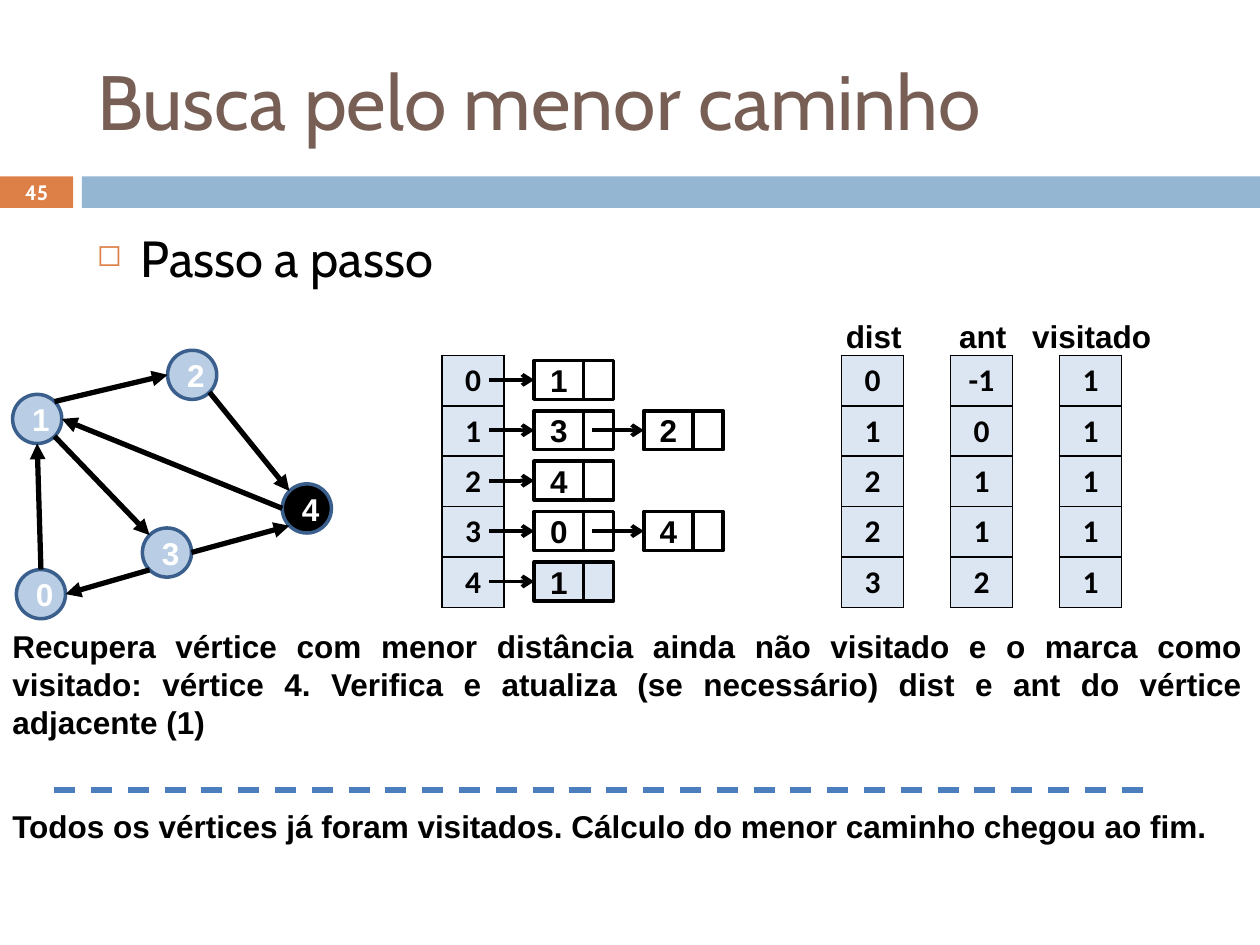
from math import cos, radians, sin

from lxml.etree import SubElement
from pptx import Presentation
from pptx.dml.color import RGBColor
from pptx.enum.dml import MSO_LINE
from pptx.enum.shapes import MSO_CONNECTOR, MSO_SHAPE
from pptx.enum.text import MSO_ANCHOR, PP_ALIGN
from pptx.oxml.ns import qn
from pptx.util import Inches, Pt

TITLE = "Busca pelo menor caminho"
PAGE = "45"
TOPIC = "Passo a passo"
NOTES = [
    (4.93, 1.01, "Recupera vértice com menor distância ainda não visitado e o marca como "
     "visitado: vértice 4. Verifica e atualiza (se necessário) dist e ant do vértice adjacente (1)"),
    (6.36, 0.4, "Todos os vértices já foram visitados. Cálculo do menor caminho chegou ao fim."),
]
NODES = {0: (0.13, 4.52), 1: (0.1, 3.13), 2: (1.33, 2.78), 3: (1.13, 4.19), 4: (2.24, 3.84)}
CURRENT = 4
RIGHT, LOWER_RIGHT, BOTTOM, LOWER_LEFT, LEFT, UPPER_LEFT, TOP, UPPER_RIGHT = range(0, 360, 45)
EDGES = [
    (0, TOP, 1, BOTTOM), (1, UPPER_RIGHT, 2, LEFT), (1, LOWER_RIGHT, 3, UPPER_LEFT),
    (2, LOWER_RIGHT, 4, UPPER_LEFT), (3, RIGHT, 4, LOWER_LEFT),
    (3, LOWER_LEFT, 0, RIGHT), (4, LEFT, 1, RIGHT),
]
ADJACENCY = [[1], [3, 2], [4], [0, 4], [1]]
COLUMNS = [("dist", [0, 1, 2, 2, 3]), ("ant", [-1, 0, 1, 1, 2]), ("visitado", [1] * 5)]
BLACK, WHITE, PALE, NODE, RIM = "000000", "FFFFFF", "DCE6F2", "B9CDE5", "3A5F8C"
ORANGE, BLUE, BROWN, DASH = "DD8047", "94B6D2", "775F55", "4B7EBC"
SIZE, ROW, TABLE_TOP = 0.39, 0.4, 2.82


def rgb(color):
    return RGBColor.from_string(color)


def write(tf, text, size=18, font="Arial", color=BLACK, bold=True,
          align=PP_ALIGN.CENTER, anchor=MSO_ANCHOR.MIDDLE, bullet=None):
    tf.word_wrap = True
    tf.vertical_anchor = anchor
    p = tf.paragraphs[0]
    p.alignment = align
    if bullet:
        pPr = p._p.get_or_add_pPr()
        pPr.set("marL", str(Inches(0.35)))
        pPr.set("indent", str(-Inches(0.35)))
        SubElement(SubElement(pPr, qn("a:buClr")), qn("a:srgbClr"), val=ORANGE)
        SubElement(pPr, qn("a:buSzPct"), val="60000")
        SubElement(pPr, qn("a:buChar"), char=bullet)
    r = p.add_run()
    r.text = text
    r.font.size, r.font.name, r.font.bold = Pt(size), font, bold
    r.font.color.rgb = rgb(color)


def add_text(s, box, text, **fmt):
    tf = s.shapes.add_textbox(*map(Inches, box)).text_frame
    write(tf, text, **fmt)


def add_box(s, kind, box, fill, line=None, text=None, **fmt):
    sp = s.shapes.add_shape(kind, *map(Inches, box))
    sp.shadow.inherit = False
    sp.fill.solid()
    sp.fill.fore_color.rgb = rgb(fill)
    if line:
        sp.line.color.rgb = rgb(line)
        sp.line.width = Pt(2)
    else:
        sp.line.fill.background()
    if text is not None:
        write(sp.text_frame, text, **fmt)
    return sp


def add_line(s, start, end, width=3, color=BLACK, head=None):
    c = s.shapes.add_connector(MSO_CONNECTOR.STRAIGHT, *map(Inches, (*start, *end)))
    c.line.color.rgb = rgb(color)
    c.line.width = Pt(width)
    if head:
        SubElement(c.line._get_or_add_ln(), qn("a:tailEnd"), type=head)
    SubElement(c._element.spPr, qn("a:effectLst"))
    return c


def add_column(s, left, values):
    frame = s.shapes.add_table(len(values), 1, Inches(left), Inches(TABLE_TOP),
                               Inches(0.49), Inches(ROW * len(values)))
    table = frame.table
    table.first_row = table.horz_banding = False
    for i, value in enumerate(values):
        cell = table.cell(i, 0)
        write(cell.text_frame, str(value), font="Calibri", anchor=None)
        tcPr = cell._tc.get_or_add_tcPr()
        for side in ("lnL", "lnR", "lnT", "lnB"):
            ln = SubElement(tcPr, qn("a:" + side), w=str(Pt(1)))
            SubElement(SubElement(ln, qn("a:solidFill")), qn("a:srgbClr"), val=BLACK)
        cell.fill.solid()
        cell.fill.fore_color.rgb = rgb(PALE)


def rim_point(node, angle):
    x, y = NODES[node]
    radius = SIZE / 2
    return (x + radius * (1 + cos(radians(angle))), y + radius * (1 + sin(radians(angle))))


def add_graph(s):
    for node, (x, y) in NODES.items():
        add_box(s, MSO_SHAPE.OVAL, (x, y, SIZE, SIZE), BLACK if node == CURRENT else NODE,
                RIM, str(node), color=WHITE)
    for start, leave, end, enter in EDGES:
        add_line(s, rim_point(start, leave), rim_point(end, enter), head="triangle")


def add_adjacency(s):
    add_column(s, 3.51, range(len(ADJACENCY)))
    for i, targets in enumerate(ADJACENCY):
        y = 2.86 + i * ROW
        fill = PALE if i == CURRENT else WHITE
        for j, target in enumerate(targets):
            x = 4.24 + j * 0.87
            cell = add_box(s, MSO_SHAPE.RECTANGLE, (x, y, SIZE, 0.31), fill, BLACK, str(target))
            add_box(s, MSO_SHAPE.RECTANGLE, (x + SIZE, y, 0.24, 0.31), fill, BLACK)
            middle = y + 0.155
            arrow = add_line(s, (4.7 if j else 3.88, middle), (x, middle), 2.25, head="arrow")
            arrow.end_connect(cell, 1)


def main():
    prs = Presentation()
    prs.slide_width, prs.slide_height = Inches(10), Inches(7.5)
    s = prs.slides.add_slide(prs.slide_layouts[5])

    title = s.shapes.title
    title.left, title.top, title.width, title.height = map(Inches, (0.67, 0.25, 8.92, 1.08))
    write(title.text_frame, TITLE, size=44, font="Cabin", color=BROWN, bold=False,
          align=PP_ALIGN.LEFT)
    add_box(s, MSO_SHAPE.RECTANGLE, (0, 1.4, 0.58, 0.25), ORANGE)
    add_box(s, MSO_SHAPE.RECTANGLE, (0.65, 1.4, 9.35, 0.25), BLUE)
    add_text(s, (0, 1.39, 0.58, 0.27), PAGE, size=11.9, font="Cabin", color=WHITE)
    add_text(s, (0.67, 1.75, 8.92, 0.6), TOPIC, size=29, font="Cabin", bold=False,
             align=PP_ALIGN.LEFT, anchor=MSO_ANCHOR.TOP, bullet="◻")

    add_graph(s)
    add_adjacency(s)
    for i, (name, values) in enumerate(COLUMNS):
        x = 6.68 + i * 0.865
        add_text(s, (x - 0.41, 2.47, 1.33, 0.4), name, anchor=MSO_ANCHOR.TOP)
        add_column(s, x, values)

    for top, height, text in NOTES:
        add_text(s, (0, top, 9.96, height), text, align=PP_ALIGN.JUSTIFY, anchor=MSO_ANCHOR.TOP)
    divider = add_line(s, (0.43, 6.27), (9.09, 6.27), color=DASH)
    divider.line.dash_style = MSO_LINE.DASH
    prs.save("out.pptx")


if __name__ == "__main__":
    main()
